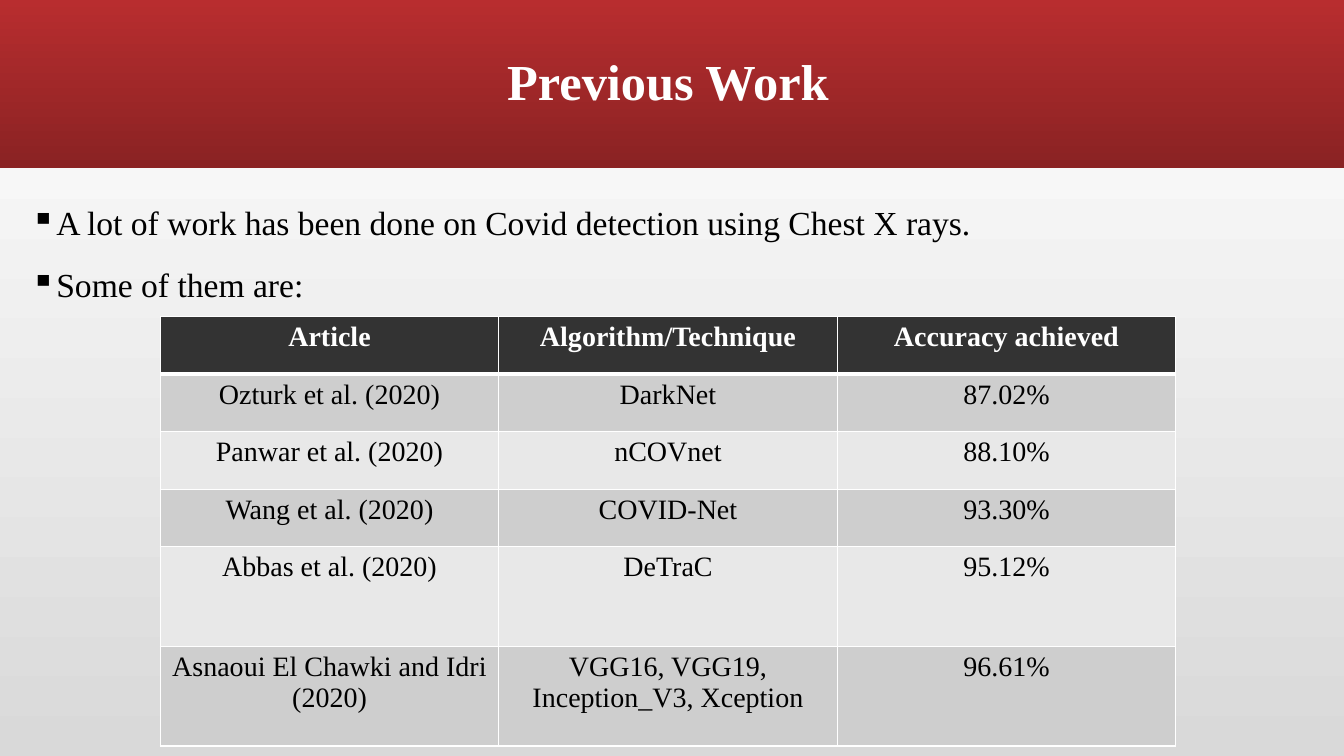
from lxml import etree
from pptx import Presentation
from pptx.dml.color import RGBColor
from pptx.enum.shapes import MSO_SHAPE
from pptx.enum.text import MSO_ANCHOR, PP_ALIGN
from pptx.oxml.ns import qn
from pptx.util import Cm, Pt

RECTANGLE = MSO_SHAPE.RECTANGLE
MIDDLE = MSO_ANCHOR.MIDDLE
CENTER = PP_ALIGN.CENTER
TITLE_ONLY = 5

FONT = "Times New Roman"
COLORS = {
    "page_bottom": "D9D9D9",
    "page_top": "FFFFFF",
    "banner_top": "B82D2F",
    "banner_bottom": "8A2223",
    "white": "FFFFFF",
    "text": "000000",
    "header": "333333",
    "band_dark": "CECECE",
    "band_light": "E8E8E8",
}

BULLETS = [
    "A lot of work has been done on Covid detection using Chest X rays.",
    "Some of them are:",
]
STUDIES = [
    ("Article", "Algorithm/Technique", "Accuracy achieved"),
    ("Ozturk et al. (2020)", "DarkNet", "87.02%"),
    ("Panwar et al. (2020)", "nCOVnet", "88.10%"),
    ("Wang et al. (2020)", "COVID-Net", "93.30%"),
    ("Abbas et al. (2020)", "DeTraC", "95.12%"),
    ("Asnaoui El Chawki and Idri (2020)",
     "VGG16, VGG19, Inception_V3, Xception", "96.61%"),
]
COLUMN_WIDTH = 8.53
ROW_HEIGHTS = [1.45] * 4 + [2.51] * 2


def rgb(name):
    return RGBColor.from_string(COLORS[name])


def set_gradient(fill, first, last, angle):
    """Fill with two colours; the angle runs counter-clockwise."""
    fill.gradient()
    fill.gradient_angle = angle
    for stop, name, position in zip(fill.gradient_stops, (first, last), (0, 1)):
        stop.color.rgb = rgb(name)
        stop.position = position


def add_run(p, text, size, color, bold=False):
    r = p.add_run()
    r.text = text
    r.font.name = FONT
    r.font.size = Pt(size)
    r.font.bold = bold
    r.font.color.rgb = rgb(color)


def add_banner(slide, width):
    sp = slide.shapes.add_shape(RECTANGLE, 0, 0, width, Cm(4.23))
    sp.shadow.inherit = False
    sp.line.fill.background()
    set_gradient(sp.fill, "banner_top", "banner_bottom", 270)
    slide.shapes._spTree.insert(2, sp._element)  # behind the title


def format_title(title, text):
    title.left, title.top = Cm(0.53), Cm(0.28)
    title.width, title.height = Cm(32.61), Cm(3.68)
    tf = title.text_frame
    tf.vertical_anchor = MIDDLE
    p = tf.paragraphs[0]
    p.alignment = CENTER
    p.line_spacing = 0.9
    add_run(p, text, 36, "white", bold=True)


def set_bullet(p, char, indent):
    pPr = p._p.get_or_add_pPr()
    pPr.set("marL", str(indent))
    pPr.set("indent", str(-indent))
    etree.SubElement(pPr, qn("a:buChar")).set("char", char)


def add_bullets(slide, lines):
    box = slide.shapes.add_textbox(Cm(0.53), Cm(5.08), Cm(28.6), Cm(12.7))
    tf = box.text_frame
    tf.word_wrap = True
    for i, line in enumerate(lines):
        p = tf.add_paragraph() if i else tf.paragraphs[0]
        p.line_spacing = 0.9
        p.space_before = Pt(18)
        set_bullet(p, "▪", Cm(0.64))
        add_run(p, line, 24, "text")


def set_borders(cell, bottom):
    """Draw white borders, 1 pt wide except for the bottom one."""
    tcPr = cell._tc.get_or_add_tcPr()
    widths = {"a:lnL": 1, "a:lnR": 1, "a:lnT": 1, "a:lnB": bottom}
    for i, (tag, width) in enumerate(widths.items()):
        ln = etree.Element(qn(tag), w=str(Pt(width)))
        fill = etree.SubElement(ln, qn("a:solidFill"))
        etree.SubElement(fill, qn("a:srgbClr"), val=COLORS["white"])
        tcPr.insert(i, ln)


def add_studies_table(slide, rows):
    columns = len(rows[0])
    table = slide.shapes.add_table(
        len(rows), columns, Cm(4.04), Cm(7.98),
        Cm(COLUMN_WIDTH * columns), Cm(sum(ROW_HEIGHTS))).table
    for column in table.columns:
        column.width = Cm(COLUMN_WIDTH)
    for i, (row, height) in enumerate(zip(rows, ROW_HEIGHTS)):
        table.rows[i].height = Cm(height)
        header = i == 0
        band = "header" if header else "band_dark" if i % 2 else "band_light"
        for j, text in enumerate(row):
            cell = table.cell(i, j)
            cell.fill.solid()
            cell.fill.fore_color.rgb = rgb(band)
            # The edge under the header is shared with the first body row.
            set_borders(cell, 3 if header else 1)
            p = cell.text_frame.paragraphs[0]
            p.alignment = CENTER
            add_run(p, text, 20, "white" if header else "text", header)


def main():
    prs = Presentation()
    prs.slide_width, prs.slide_height = Cm(33.87), Cm(19.05)
    slide = prs.slides.add_slide(prs.slide_layouts[TITLE_ONLY])
    set_gradient(slide.background.fill, "page_bottom", "page_top", 90)
    add_banner(slide, prs.slide_width)
    format_title(slide.shapes.title, "Previous Work")
    add_bullets(slide, BULLETS)
    add_studies_table(slide, STUDIES)
    prs.save("out.pptx")


if __name__ == "__main__":
    main()
